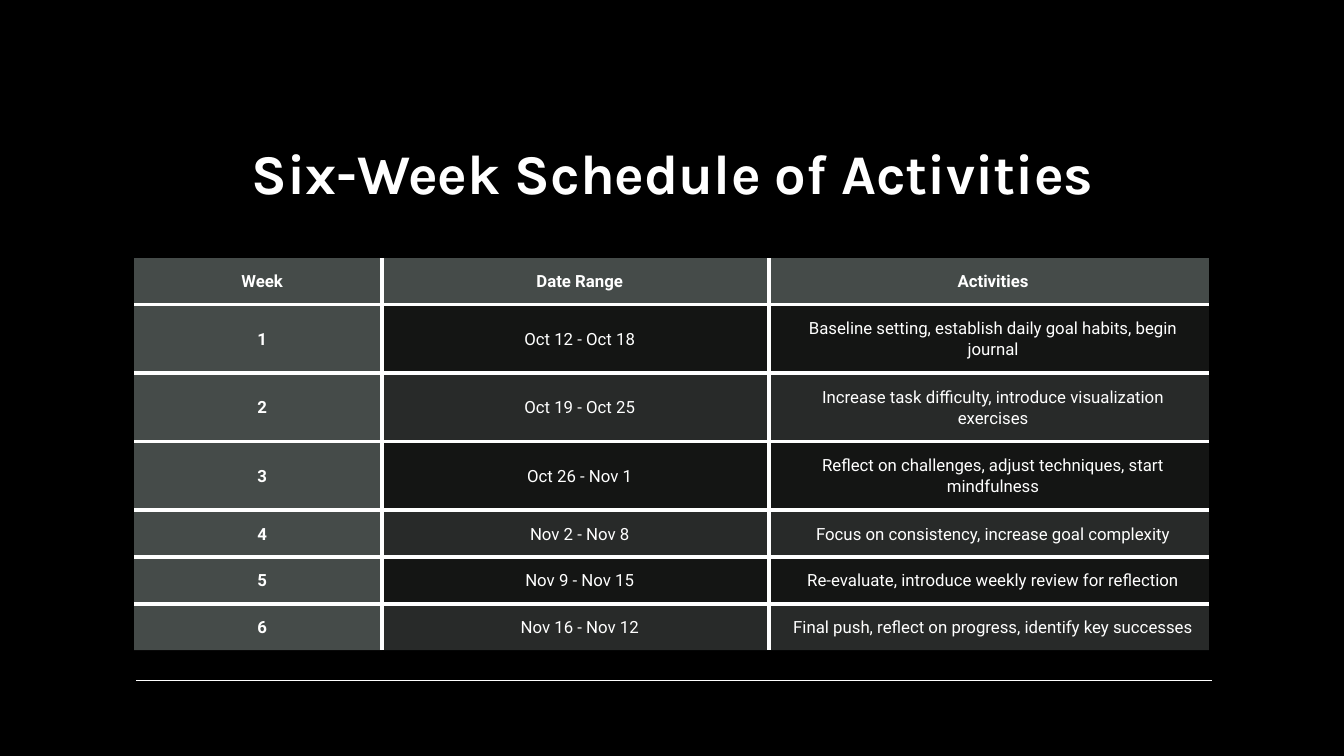
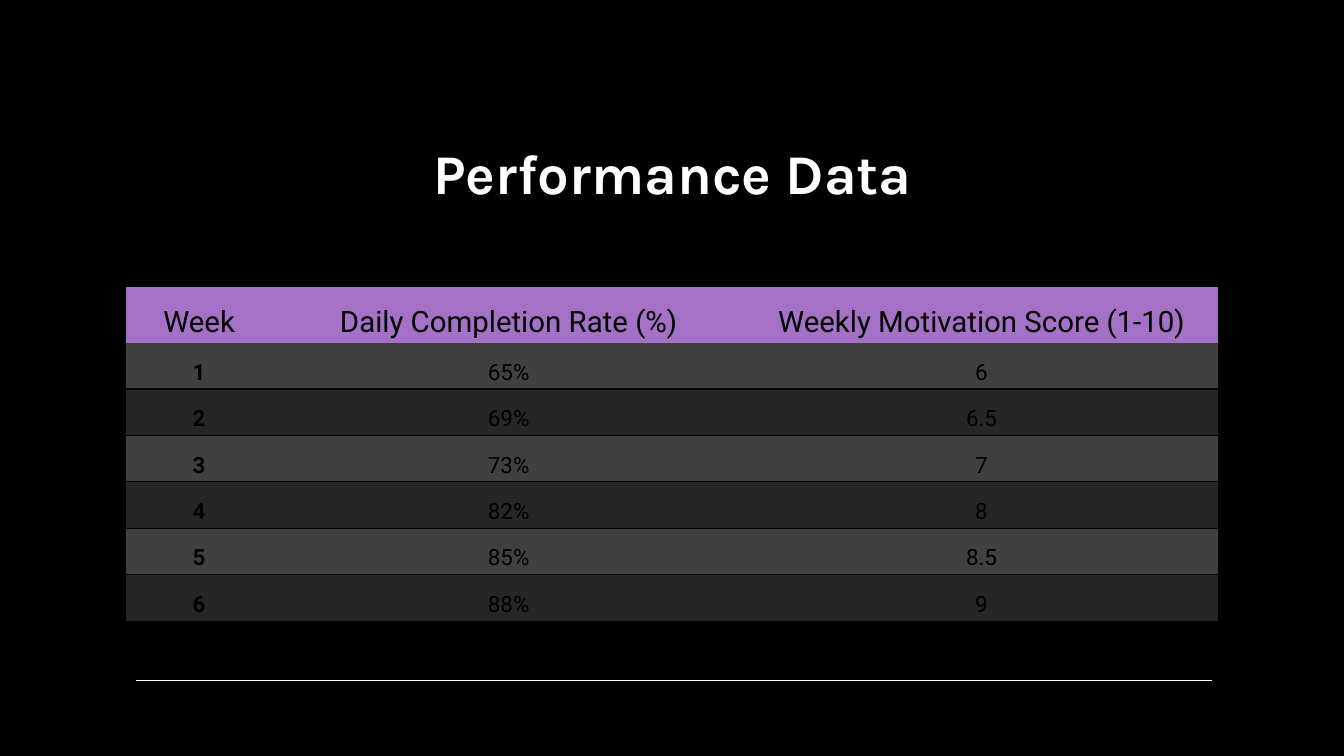
"""Build two dark slides: an activity schedule and its performance data."""
from lxml import etree
from pptx import Presentation
from pptx import util as u
from pptx.dml import color
from pptx.enum import shapes, text
from pptx.oxml import ns

BLACK, WHITE, PURPLE = "000000", "FFFFFF", "A471C7"
SLATE, MIST = "636B68", "878E8B"
DARK_BAND, LIGHT_BAND = "262626", "404040"
PLAIN_TABLE = "{2D5ABB26-0587-4C30-8999-92F81FD0307C}"

SCHEDULE = [
    ("Week", "Date Range", "Activities"),
    ("1", "Oct 12 - Oct 18", "Baseline setting, establish daily goal habits, begin journal"),
    ("2", "Oct 19 - Oct 25", "Increase task difficulty, introduce visualization exercises"),
    ("3", "Oct 26 - Nov 1", "Reflect on challenges, adjust techniques, start mindfulness"),
    ("4", "Nov 2 - Nov 8", "Focus on consistency, increase goal complexity"),
    ("5", "Nov 9 - Nov 15", "Re-evaluate, introduce weekly review for reflection"),
    ("6", "Nov 16 - Nov 12", "Final push, reflect on progress, identify key successes"),
]
PERFORMANCE = [
    ("Week", "Daily Completion Rate (%)", "Weekly Motivation Score (1-10)"),
    ("1", "65%", "6"),
    ("2", "69%", "6.5"),
    ("3", "73%", "7"),
    ("4", "82%", "8"),
    ("5", "85%", "8.5"),
    ("6", "88%", "9"),
]


def rgb(value):
    return color.RGBColor.from_string(value)


def paint(fill, value):
    fill.solid()
    fill.fore_color.rgb = rgb(value)


def schedule_style(row, column):
    if row == 0 or column == 0:
        fill, alpha = SLATE, 70
    else:
        fill, alpha = MIST, 15 if row % 2 else 30
    inner = {"L": column > 0, "R": column < 2, "T": row > 0, "B": row < 6}
    return dict(size=12, bold=row == 0 or column == 0, ink=WHITE, fill=fill, alpha=alpha,
                edges=[side for side, shown in inner.items() if shown], edge=(WHITE, 3))


def performance_style(row, column):
    odd = row % 2 == 1
    fill = PURPLE if row == 0 else LIGHT_BAND if odd else DARK_BAND
    edges = [] if row == 0 else ["B"] if odd else ["T"]
    return dict(size=16 if row else 21, bold=row > 0 and column == 0, ink=BLACK, fill=fill,
                alpha=100, edges=edges, edge=(BLACK, 1))


class Deck:
    """Hold the shared style and the current page."""

    def __init__(self):
        self.deck = Presentation()
        self.deck.slide_width, self.deck.slide_height = u.Inches(13.33), u.Inches(7.5)
        self.page = None

    def add_page(self, title):
        self.page = self.deck.slides.add_slide(self.deck.slide_layouts[5])
        paint(self.page.background.fill, BLACK)
        self.backdrop()
        self.title(title)
        self.rule(1.35, 12.02, 6.75)

    def backdrop(self):
        panel = self.page.shapes.add_shape(
            shapes.MSO_SHAPE.RECTANGLE, 0, 0, self.deck.slide_width, self.deck.slide_height)
        panel.shadow.inherit = False
        paint(panel.fill, BLACK)
        panel.line.fill.background()
        self.page.shapes.title._element.addprevious(panel._element)

    def title(self, words):
        box = self.page.shapes.title
        box.left, box.top, box.width, box.height = map(u.Inches, (1.92, 0.99, 9.5, 1.1))
        frame = box.text_frame
        frame.text = words
        frame.word_wrap = True
        frame.vertical_anchor = text.MSO_ANCHOR.BOTTOM
        self.format(frame.paragraphs[0], "Karla", 40, True, WHITE)

    def format(self, para, name, size, bold, ink):
        para.alignment = text.PP_ALIGN.CENTER
        para.font.name, para.font.size, para.font.bold = name, u.Pt(size), bold
        para.font.color.rgb = rgb(ink)

    def rule(self, left, right, top):
        line = self.page.shapes.add_connector(
            shapes.MSO_CONNECTOR.STRAIGHT, *map(u.Inches, (left, top, right, top)))
        line.line.color.rgb = rgb(WHITE)
        line.line.width = u.Pt(1)
        etree.SubElement(line._element.spPr, ns.qn("a:effectLst"))

    def table(self, left, top, widths, heights, rows, insets, style):
        area = map(u.Inches, (left, top, sum(widths), sum(heights)))
        table = self.page.shapes.add_table(len(rows), len(widths), *area).table
        table.first_row = table.horz_banding = False
        table._tbl.tblPr.find(ns.qn("a:tableStyleId")).text = PLAIN_TABLE
        for column, width in zip(table.columns, widths):
            column.width = u.Inches(width)
        for row, height in zip(table.rows, heights):
            row.height = u.Inches(height)
        for i, row in enumerate(rows):
            for j, words in enumerate(row):
                self.cell(table.cell(i, j), words, insets, **style(i, j))

    def cell(self, cell, words, insets, size, bold, ink, fill, alpha, edges, edge):
        cell.text = words
        cell.vertical_anchor = text.MSO_ANCHOR.MIDDLE
        cell.margin_left, cell.margin_top, cell.margin_right, cell.margin_bottom = map(
            u.Inches, insets)
        para = cell.text_frame.paragraphs[0]
        para.line_spacing, para.space_after = 1.07, u.Pt(8)
        self.format(para, "Roboto", size, bold, ink)
        properties = cell._tc.get_or_add_tcPr()
        for side in edges:
            self.border(properties, side, *edge)
        paint(cell.fill, fill)
        if alpha < 100:
            tint = properties.find(ns.qn("a:solidFill")).find(ns.qn("a:srgbClr"))
            etree.SubElement(tint, ns.qn("a:alpha"), val=str(alpha * 1000))

    def border(self, properties, side, ink, points):
        line = etree.SubElement(properties, ns.qn("a:ln" + side), w=str(u.Pt(points)))
        solid = etree.SubElement(line, ns.qn("a:solidFill"))
        etree.SubElement(solid, ns.qn("a:srgbClr"), val=ink)


def main():
    show = Deck()
    show.add_page("Six-Week Schedule of Activities")
    show.table(1.33, 2.56, [2.46, 3.84, 4.36], [0.46] + [0.68] * 3 + [0.47, 0.46, 0.46],
               SCHEDULE, (0.19, 0.11, 0.11, 0.11), schedule_style)
    show.add_page("Performance Data")
    show.table(1.25, 2.85, [1.45, 4.69, 4.69], [0.55] + [0.46] * 6,
               PERFORMANCE, (0.01, 0.13, 0.01, 0.01), performance_style)
    show.deck.save("out.pptx")


if __name__ == "__main__":
    main()
